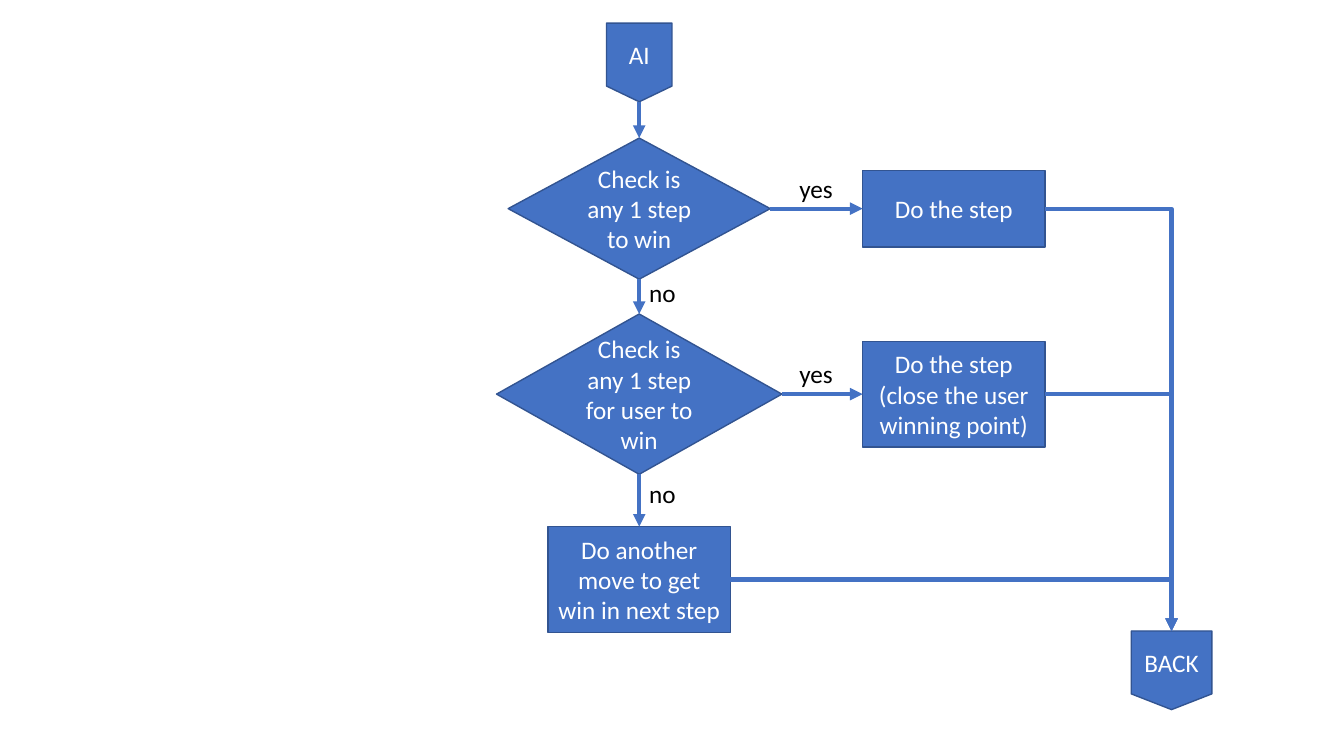
from typing import NamedTuple

from lxml import etree
from pptx import Presentation
from pptx.dml.color import RGBColor
from pptx.enum import shapes, text
from pptx.oxml import ns
from pptx.util import Inches, Pt

BLUE = RGBColor(0x44, 0x72, 0xC4)
DARK_BLUE = RGBColor(0x32, 0x54, 0x91)
WHITE = RGBColor(0xFF, 0xFF, 0xFF)
BLACK = RGBColor(0x00, 0x00, 0x00)

PAGE_LINK = shapes.MSO_SHAPE.FLOWCHART_OFFPAGE_CONNECTOR
DECISION = shapes.MSO_SHAPE.FLOWCHART_DECISION
STEP = shapes.MSO_SHAPE.RECTANGLE

# Connection sites of a shape
TOP, LEFT, BOTTOM, RIGHT = range(4)

# Columns (centre x) and rows (centre y) of the flow
MAIN, ACTION, EXIT = 6.34, 9.46, 11.62
FIRST, SECOND, THIRD = 2.07, 3.91, 5.75


class Node(NamedTuple):
    kind: shapes.MSO_SHAPE
    x: float
    y: float
    width: float
    height: float
    label: str


class Link(NamedTuple):
    start: str
    start_site: int
    end: str
    end_site: int
    bent: bool = False


class Answer(NamedTuple):
    label: str
    left: float
    top: float
    width: float


NODES = {
    "start": Node(PAGE_LINK, MAIN, 0.62, 0.65, 0.78, "AI"),
    "can win": Node(DECISION, MAIN, FIRST, 2.6, 1.4, "Check is any 1 step to win"),
    "user can win": Node(DECISION, MAIN, SECOND, 2.83, 1.59,
                         "Check is any 1 step for user to win"),
    "win": Node(STEP, ACTION, FIRST, 1.81, 0.76, "Do the step"),
    "block": Node(STEP, ACTION, SECOND, 1.81, 1.05,
                  "Do the step (close the user winning point)"),
    "move": Node(STEP, MAIN, THIRD, 1.81, 1.05,
                 "Do another move to get win in next step"),
    "back": Node(PAGE_LINK, EXIT, 6.65, 0.8, 0.78, "BACK"),
}

LINKS = [
    Link("start", BOTTOM, "can win", TOP),
    Link("can win", BOTTOM, "user can win", TOP),
    Link("user can win", BOTTOM, "move", TOP),
    Link("can win", RIGHT, "win", LEFT),
    Link("user can win", RIGHT, "block", LEFT),
    Link("win", RIGHT, "back", TOP, bent=True),
    Link("block", RIGHT, "back", TOP, bent=True),
    Link("move", RIGHT, "back", TOP, bent=True),
]

ANSWERS = [
    Answer("yes", 7.83, 1.67, 0.54),
    Answer("no", 6.34, 2.7, 0.47),
    Answer("yes", 7.83, 3.51, 0.54),
    Answer("no", 6.34, 4.7, 0.47),
]


def write(box, label: str, color: RGBColor) -> None:
    box.text_frame.text = label
    font = box.text_frame.paragraphs[0].runs[0].font
    font.name = "Calibri"
    font.size = Pt(18)
    font.color.rgb = color


def draw_node(page, node: Node):
    box = page.shapes.add_shape(
        node.kind, Inches(node.x - node.width / 2), Inches(node.y - node.height / 2),
        Inches(node.width), Inches(node.height))
    box.shadow.inherit = False
    box.fill.solid()
    box.fill.fore_color.rgb = BLUE
    box.line.color.rgb = DARK_BLUE
    box.line.width = Pt(1)
    write(box, node.label, WHITE)
    box.text_frame.word_wrap = True
    box.text_frame.vertical_anchor = text.MSO_ANCHOR.MIDDLE
    box.text_frame.paragraphs[0].alignment = text.PP_ALIGN.CENTER
    return box


def site_point(node: Node, site: int) -> tuple[int, int]:
    across, down = {TOP: (0, -1), LEFT: (-1, 0), BOTTOM: (0, 1), RIGHT: (1, 0)}[site]
    return (Inches(node.x + across * node.width / 2),
            Inches(node.y + down * node.height / 2))


def draw_link(page, link: Link, boxes: dict) -> None:
    kind = shapes.MSO_CONNECTOR.ELBOW if link.bent else shapes.MSO_CONNECTOR.STRAIGHT
    arrow = page.shapes.add_connector(
        kind, *site_point(NODES[link.start], link.start_site),
        *site_point(NODES[link.end], link.end_site))
    arrow.begin_connect(boxes[link.start], link.start_site)
    arrow.end_connect(boxes[link.end], link.end_site)
    arrow.line.color.rgb = BLUE
    arrow.line.width = Pt(3)
    properties = arrow._element.spPr
    if link.bent:  # a single corner
        properties.find(ns.qn("a:prstGeom")).set("prst", "bentConnector2")
    line = properties.find(ns.qn("a:ln"))
    etree.SubElement(line, ns.qn("a:tailEnd"), type="triangle")
    etree.SubElement(properties, ns.qn("a:effectLst"))


def draw_answer(page, answer: Answer) -> None:
    box = page.shapes.add_textbox(
        Inches(answer.left), Inches(answer.top), Inches(answer.width), Inches(0.4))
    write(box, answer.label, BLACK)
    box.text_frame.word_wrap = False
    box.text_frame.auto_size = text.MSO_AUTO_SIZE.SHAPE_TO_FIT_TEXT


def main() -> None:
    deck = Presentation()
    deck.slide_width, deck.slide_height = Inches(13.33), Inches(7.5)
    page = deck.slides.add_slide(deck.slide_layouts[6])

    # Steps, then the arrows glued to them, then the answers
    boxes = {name: draw_node(page, node) for name, node in NODES.items()}
    for link in LINKS:
        draw_link(page, link, boxes)
    for answer in ANSWERS:
        draw_answer(page, answer)

    deck.save("out.pptx")


if __name__ == "__main__":
    main()
